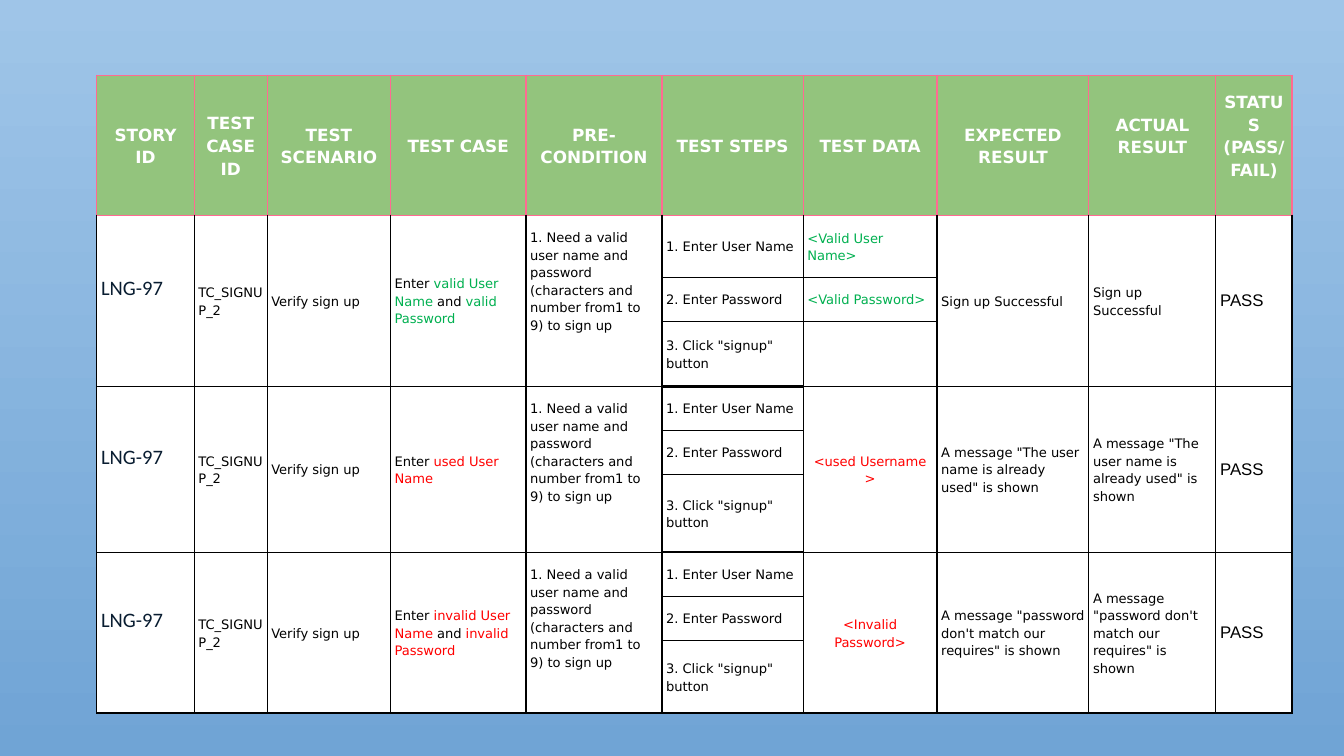
import dataclasses

import lxml.etree
import pptx
import pptx.dml.color
import pptx.enum.text
import pptx.oxml.ns
import pptx.util

Cm = pptx.util.Cm
Pt = pptx.util.Pt
Rgb = pptx.dml.color.RGBColor.from_string
Align = pptx.enum.text.PP_ALIGN
Anchor = pptx.enum.text.MSO_ANCHOR
qn = pptx.oxml.ns.qn


@dataclasses.dataclass
class Theme:
    sky_top: str = "9FC5E8"
    sky_bottom: str = "70A4D5"
    header: str = "93C47D"
    pink: str = "FF6A92"
    white: str = "FFFFFF"
    black: str = "000000"
    navy: str = "091D31"
    green: str = "00B050"
    red: str = "FF0000"
    body_font: str = "DejaVu Sans"
    body: float = 7
    heading: float = 9
    story: float = 11
    thin: float = 0.75
    thick: float = 1.5


theme = Theme()


def write(cell, text, size=theme.body, font=theme.body_font, color=theme.black,
          bold=False, align=Align.LEFT, anchor=Anchor.MIDDLE, spacing=1.15, bottom=0.25):
    """Fill a cell with a string (one paragraph a line) or a list of (text, colour) spans."""
    cell.vertical_anchor = anchor
    cell.margin_left = cell.margin_right = Cm(0.08)
    cell.margin_top, cell.margin_bottom = Cm(0.25), Cm(bottom)
    if isinstance(text, str):
        lines = [[(line, color)] for line in text.split("\n")]
    else:
        lines = [text]
    for number, spans in enumerate(lines):
        frame = cell.text_frame
        paragraph = frame.add_paragraph() if number else frame.paragraphs[0]
        paragraph.alignment = align
        paragraph.line_spacing = spacing
        for words, span_color in spans:
            span = paragraph.add_run()
            span.text = words
            span.font.size = Pt(size)
            span.font.name = font
            span.font.bold = bold
            span.font.color.rgb = Rgb(span_color)


def add_border(cell, side, color, width):
    line = lxml.etree.SubElement(
        cell._tc.get_or_add_tcPr(), qn(f"a:ln{side}"), w=str(Pt(width)))
    fill = lxml.etree.SubElement(line, qn("a:solidFill"))
    lxml.etree.SubElement(fill, qn("a:srgbClr"), val=color)


deck = pptx.Presentation()
deck.slide_width, deck.slide_height = Cm(25.4), Cm(14.29)
page = deck.slides.add_slide(deck.slide_layouts[6])

sky = page.background.fill
sky.gradient()
sky.gradient_angle = 270
for stop, color in zip(sky.gradient_stops, (theme.sky_top, theme.sky_bottom)):
    stop.color.rgb = Rgb(color)

headings = ["STORY\nID", "TEST CASE ID", "TEST SCENARIO", "TEST CASE", "PRE-CONDITION",
            "TEST STEPS", "TEST DATA", "EXPECTED\nRESULT", "ACTUAL\nRESULT",
            "STATUS (PASS/\nFAIL)"]
steps = ["1. Enter User Name", "2. Enter Password", '3. Click "signup" button']
condition = ("1. Need a valid user name and password "
             "(characters and number from1 to 9) to sign up")

# Each test: case spans, data (one text, or one for each step), result
tests = [
    ([("Enter ", theme.black), ("valid User Name", theme.green),
      (" and ", theme.black), ("valid Password", theme.green)],
     ["<Valid User Name>", "<Valid Password>"],
     "Sign up Successful"),
    ([("Enter ", theme.black), ("used User Name", theme.red)],
     "<used Username >",
     'A message "The user name is already used" is shown'),
    ([("Enter ", theme.black), ("invalid User Name", theme.red),
      (" and ", theme.black), ("invalid Password", theme.red)],
     "<Invalid Password>",
     'A message "password don\'t match our requires" is shown'),
]

column_widths = [1.84, 1.38, 2.33, 2.56, 2.57, 2.67, 2.53, 2.87, 2.4, 1.44]
row_heights = [2.65, 1.17, 0.83, 1.23, 0.83, 0.83, 1.47, 0.83, 0.83, 1.38]
STEPS, DATA = 5, 6
last_row = len(row_heights) - 1

table = page.shapes.add_table(
    len(row_heights), len(column_widths), Cm(1.83), Cm(1.42),
    Cm(sum(column_widths)), Cm(sum(row_heights))).table
table.first_row = table.horz_banding = False
for column, width in zip(table.columns, column_widths):
    column.width = Cm(width)
for row, height in zip(table.rows, row_heights):
    row.height = Cm(height)

# Borders and fills
for r in range(len(row_heights)):
    for c in range(len(column_widths)):
        cell = table.cell(r, c)
        side_color = theme.black if r else theme.pink
        top_color = theme.black if r > 1 else theme.pink
        group_end = r > 0 and r % 3 == 0
        heavy_top = c == STEPS and r in (4, 7)
        heavy_bottom = (c == STEPS and group_end) or (r == last_row and c not in (0, 1, 4))
        add_border(cell, "L", side_color, theme.thin)
        add_border(cell, "R", side_color, theme.thin)
        add_border(cell, "T", top_color, theme.thick if heavy_top else theme.thin)
        add_border(cell, "B", side_color, theme.thick if heavy_bottom else theme.thin)
        cell.fill.solid()
        cell.fill.fore_color.rgb = Rgb(theme.white if r else theme.header)

# Header row
for c, heading in enumerate(headings):
    write(table.cell(0, c), heading, size=theme.heading, color=theme.white, bold=True,
          align=Align.CENTER, bottom=0.63 if c >= 8 else 0.25)

# Three rows for each test, merged except where the steps are listed
for number, (case, data, result) in enumerate(tests):
    top = 1 + 3 * number
    for c in range(len(column_widths)):
        if c != STEPS and not (c == DATA and isinstance(data, list)):
            table.cell(top, c).merge(table.cell(top + 2, c))

    write(table.cell(top, 0), "LNG-97", size=theme.story, font="Calibri",
          color=theme.navy, spacing=1, bottom=0.7)
    write(table.cell(top, 1), "TC_SIGNUP_2")
    write(table.cell(top, 2), "Verify sign up")
    write(table.cell(top, 3), case)
    write(table.cell(top, 4), condition, anchor=Anchor.TOP)
    for offset, step in enumerate(steps):
        write(table.cell(top + offset, STEPS), step)
    if isinstance(data, list):
        for offset, entry in enumerate(data):
            write(table.cell(top + offset, DATA), entry, color=theme.green,
                  anchor=Anchor.BOTTOM)
    else:
        write(table.cell(top, DATA), data, color=theme.red, align=Align.CENTER)
    write(table.cell(top, 7), result)
    write(table.cell(top, 8), result)
    write(table.cell(top, 9), "PASS", size=theme.heading, font="Arial", spacing=1)

# Small type in empty cells keeps them from stretching their rows
for cell in table.iter_cells():
    if not cell.text_frame.text:
        lxml.etree.SubElement(cell.text_frame.paragraphs[0]._p, qn("a:endParaRPr"),
                              sz=str(theme.body * 100))

deck.save("out.pptx")
